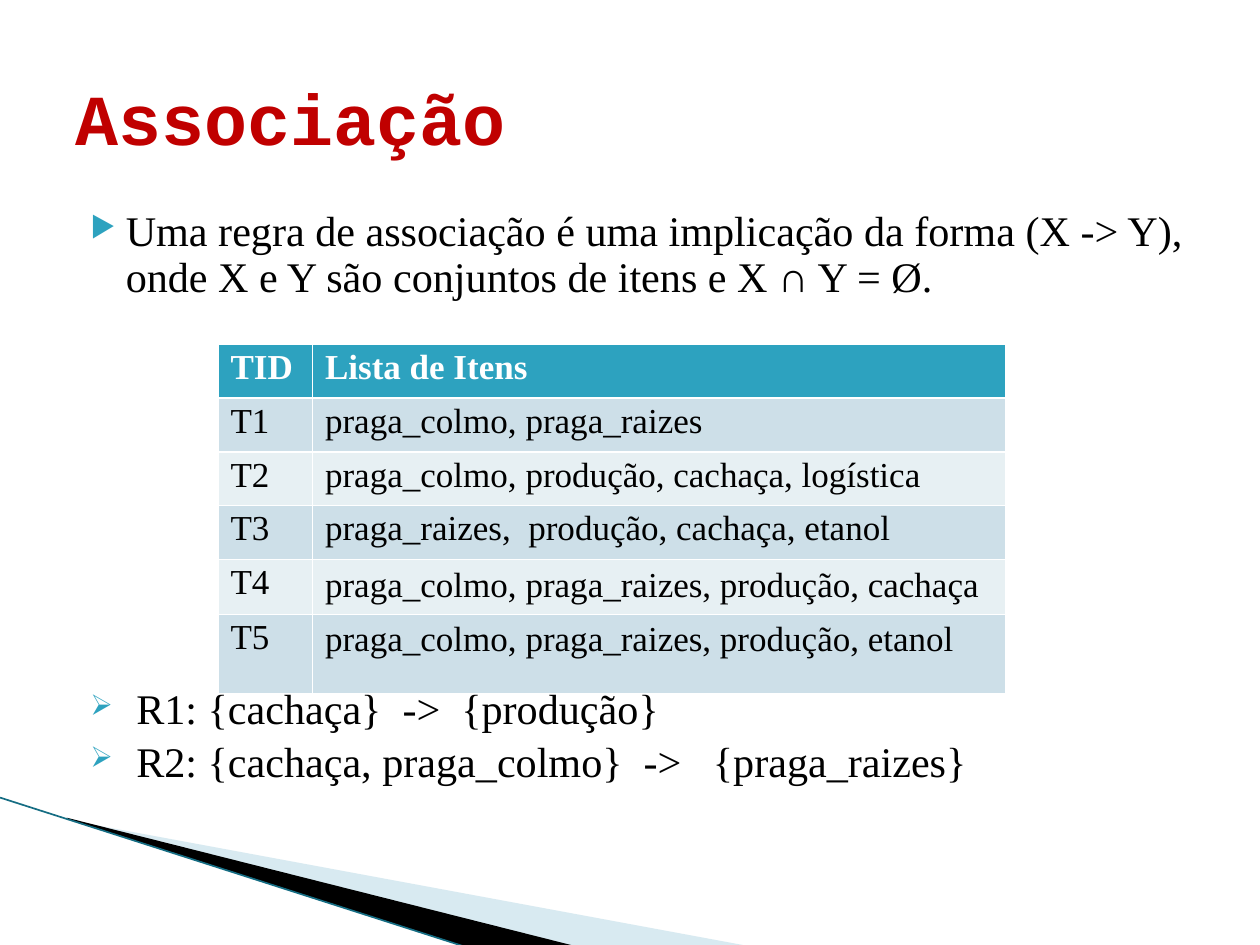
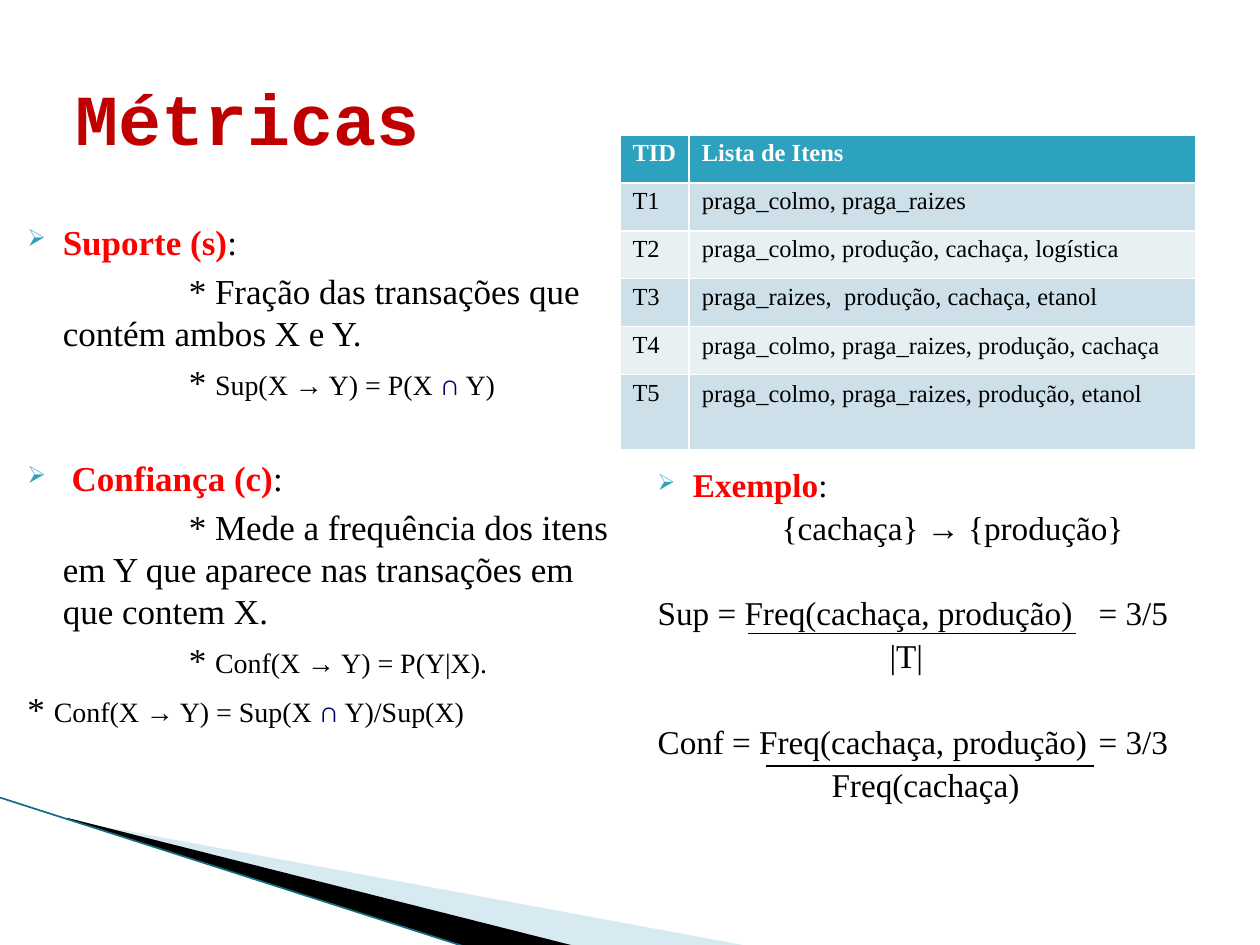
import dataclasses
import typing

import lxml.etree
import pptx
import pptx.dml.color
import pptx.enum.shapes
import pptx.enum.text
import pptx.oxml.ns
import pptx.util

RGBColor = pptx.dml.color.RGBColor
Align = pptx.enum.text.PP_ALIGN

# Shared colours and fonts
TEAL = RGBColor(0x2D, 0xA2, 0xBF)
DARK_TEAL = RGBColor(0x15, 0x6D, 0x83)
PALE_TEAL = RGBColor(0x9F, 0xCB, 0xDC)
BAND_DARK = RGBColor(0xCD, 0xDF, 0xE8)
BAND_LIGHT = RGBColor(0xE7, 0xF0, 0xF3)
TITLE_RED = RGBColor(0xC0, 0x00, 0x00)
TERM_RED = RGBColor(0xFF, 0x00, 0x00)
NAVY = RGBColor(0x00, 0x00, 0x66)
BLACK = RGBColor(0x00, 0x00, 0x00)
WHITE = RGBColor(0xFF, 0xFF, 0xFF)
BODY_FONT = "Times New Roman"
TITLE_FONT = "Courier New"
SYMBOL_FONT = "Calibri"

# The slide is a grid of 100 columns by 75 rows
SLIDE_WIDTH = pptx.util.Inches(10)
SLIDE_HEIGHT = pptx.util.Inches(7.5)
COLUMN = SLIDE_WIDTH / 100
ROW = SLIDE_HEIGHT / 75
HANG = 2.8
ARROW_BULLET = "➢"

TRANSACTIONS = [
    ("TID", "Lista de Itens"),
    ("T1", "praga_colmo, praga_raizes"),
    ("T2", "praga_colmo, produção, cachaça, logística"),
    ("T3", "praga_raizes,  produção, cachaça, etanol"),
    ("T4", "praga_colmo, praga_raizes, produção, cachaça"),
    ("T5", "praga_colmo, praga_raizes, produção, etanol"),
]


class Box(typing.NamedTuple):
    """Left, top, width and height in columns and rows."""
    left: float
    top: float
    width: float
    height: float

    def lengths(self) -> tuple[int, int, int, int]:
        return (across(self.left), down(self.top),
                across(self.width), down(self.height))


class Piece(typing.NamedTuple):
    text: str
    size: float
    color: RGBColor = BLACK
    bold: bool = False
    font: str = BODY_FONT


@dataclasses.dataclass
class Line:
    """One paragraph; margin, indent and tab are in columns."""
    pieces: list[Piece]
    bullet: str = ""
    margin: float = 0
    indent: float = 0
    before: float = 4
    spacing: float = 1.0
    align: typing.Optional[Align] = None
    tab: float = 0


def across(columns: float) -> int:
    return round(columns * COLUMN)


def down(rows: float) -> int:
    return round(rows * ROW)


def add_element(parent, tag: str, **attributes: str):
    element = lxml.etree.SubElement(parent, pptx.oxml.ns.qn(tag))
    for name, value in attributes.items():
        element.set(name, value)
    return element


# Text
def style_run(run, piece: Piece) -> None:
    run.font.name = piece.font
    run.font.size = pptx.util.Pt(piece.size)
    run.font.bold = piece.bold
    run.font.color.rgb = piece.color


def write_line(paragraph, line: Line) -> None:
    paragraph.space_before = pptx.util.Pt(line.before)
    paragraph.line_spacing = line.spacing
    paragraph.alignment = line.align
    properties = paragraph._p.get_or_add_pPr()
    properties.set("marL", str(across(line.margin)))
    properties.set("indent", str(across(line.indent)))
    if line.bullet:
        color = add_element(properties, "a:buClr")
        add_element(color, "a:srgbClr", val=str(TEAL))
        add_element(properties, "a:buSzPct", val="68000")
        add_element(properties, "a:buChar", char=line.bullet)
    if line.tab:
        tabs = add_element(properties, "a:tabLst")
        add_element(tabs, "a:tab", pos=str(across(line.tab)), algn="l")
    for piece in line.pieces:
        run = paragraph.add_run()
        run.text = piece.text
        style_run(run, piece)


def add_text(slide, box: Box, lines: list[Line], inset: float = 1):
    text_frame = slide.shapes.add_textbox(*box.lengths()).text_frame
    text_frame.word_wrap = True
    text_frame.margin_left = across(inset)
    for number, line in enumerate(lines):
        paragraph = text_frame.add_paragraph() if number else text_frame.paragraphs[0]
        write_line(paragraph, line)
    return text_frame


def add_title(slide, title: str) -> None:
    piece = Piece(title, 41, TITLE_RED, True, TITLE_FONT)
    text_frame = add_text(slide, Box(5, 3, 90, 12.5), [Line([piece], before=0)])
    text_frame.vertical_anchor = pptx.enum.text.MSO_ANCHOR.MIDDLE


# Lines and corner wedges
def add_line(slide, start: tuple[float, float], end: tuple[float, float],
             color: RGBColor, width: float) -> None:
    connector = slide.shapes.add_connector(
        pptx.enum.shapes.MSO_CONNECTOR.STRAIGHT,
        across(start[0]), down(start[1]), across(end[0]), down(end[1]))
    connector.line.color.rgb = color
    connector.line.width = pptx.util.Pt(width)
    add_element(connector._element.spPr, "a:effectLst")


def add_wedge(slide, corners: list[tuple[float, float]], color: RGBColor,
              opacity: int = 100) -> None:
    points = [(across(x), down(y)) for x, y in corners]
    builder = slide.shapes.build_freeform(*points[0])
    builder.add_line_segments(points[1:], close=True)
    wedge = builder.convert_to_shape()
    wedge.shadow.inherit = False
    wedge.line.fill.background()
    wedge.fill.solid()
    wedge.fill.fore_color.rgb = color
    if opacity < 100:
        tint = wedge._element.spPr.find(".//" + pptx.oxml.ns.qn("a:srgbClr"))
        add_element(tint, "a:alpha", val=str(opacity * 1000))


def start_slide(presentation, title: str):
    slide = presentation.slides.add_slide(presentation.slide_layouts[6])
    add_wedge(slide, [(5.5, 65.1), (59.5, 75.1), (45.6, 75.1), (5.5, 65)],
              PALE_TEAL, 40)
    add_wedge(slide, [(5.3, 64.9), (45.7, 75.1), (37.2, 75.2), (5.4, 65)], BLACK)
    add_line(slide, (0, 63.3), (37.1, 75.2), DARK_TEAL, 0.96)
    add_title(slide, title)
    return slide


# Transaction table, shown on both slides
def add_transactions(slide, box: Box, id_width: float, row_height: float,
                     size: float) -> None:
    last = len(TRANSACTIONS) - 1
    frame = slide.shapes.add_table(len(TRANSACTIONS), 2, *box.lengths())
    table = frame.table
    table.columns[0].width = across(id_width)
    table.columns[1].width = across(box.width - id_width)
    for row, texts in enumerate(TRANSACTIONS):
        height = row_height if row < last else box.height - last * row_height
        table.rows[row].height = down(height)
        header = row == 0
        band = TEAL if header else BAND_DARK if row % 2 else BAND_LIGHT
        for column, text in enumerate(texts):
            cell = table.cell(row, column)
            cell.fill.solid()
            cell.fill.fore_color.rgb = band
            paragraph = cell.text_frame.paragraphs[0]
            paragraph.text = text
            loose = column == 1 and row >= last - 1
            paragraph.line_spacing = 1.0 if loose else 0.93
            color = WHITE if header else BLACK
            style_run(paragraph.runs[0], Piece(text, size, color, header))


# Slide 1
def build_association(presentation) -> None:
    slide = start_slide(presentation, "Associação")

    def rule(text: str, bullet: str = ARROW_BULLET, before: float = 4) -> Line:
        return Line([Piece(text, 24.1)], bullet, 4, -HANG, before, 0.9)

    add_text(slide, Box(5, 16.2, 95, 49.5), [
        rule("Uma regra de associação é uma implicação da forma (X -> Y), "
             "onde X e Y são conjuntos de itens e X ∩ Y = Ø.", "▶"),
        rule(" R1: {cachaça}  ->  {produção}", before=221),
        rule(" R2: {cachaça, praga_colmo}  ->   {praga_raizes}"),
    ])
    add_transactions(slide, Box(17.3, 27.3, 62.5, 27.7), 7.5, 4.28, 20)


# Slide 2
def term(name: str, size: float) -> list[Piece]:
    return [Piece(name, size, TERM_RED, True), Piece(":", size)]


def formula(before: str, after: str = "") -> list[Piece]:
    pieces = [Piece("* ", 20), Piece(before, 16)]
    if after:
        pieces += [Piece("∩", 16, NAVY, font=SYMBOL_FONT), Piece(after, 16)]
    return pieces


def build_metrics(presentation) -> None:
    slide = start_slide(presentation, "Métricas")

    def heading(pieces: list[Piece], before: float = 4) -> Line:
        return Line(pieces, ARROW_BULLET, 4, -HANG, before)

    def note(pieces: list[Piece]) -> Line:
        return Line(pieces, margin=4, indent=10)

    add_text(slide, Box(0, 17, 50, 49.5), [
        heading(term("Suporte (s)", 20)),
        note([Piece("* Fração das transações que contém ambos X e Y.", 20)]),
        note(formula("Sup(X → Y) = P(X ", " Y)")),
        heading([Piece(" ", 20), *term("Confiança (c)", 20)], before=31),
        note([Piece("* Mede a frequência dos itens em Y que aparece nas "
                    "transações em que contem X.", 20)]),
        note(formula("Conf(X → Y) = P(Y|X).")),
        Line(formula("Conf(X → Y) = Sup(X ", " Y)/Sup(X)"),
             margin=4, indent=-HANG),
    ])

    # Worked example: numerators, results at a tab, denominators below
    def step(text: str, **options) -> Line:
        return Line([Piece(text, 19)], spacing=0.9, **options)

    add_text(slide, Box(50, 36.7, 50, 34.5), [
        Line(term("Exemplo", 19), ARROW_BULLET, HANG, -HANG, spacing=0.9),
        step("{cachaça} → {produção}", align=Align.CENTER),
        step("Sup = Freq(cachaça, produção)\t= 3/5", before=28.4, tab=35.5),
        step("|T|", margin=18.4),
        step("Conf = Freq(cachaça, produção)\t= 3/3", before=28.4, tab=35.5),
        step("Freq(cachaça)", margin=13.8),
    ], inset=2.2)
    for left, top in ((59.4, 50.3), (60.8, 60.8)):
        add_line(slide, (left, top), (left + 26, top), BLACK, 0.75)
    add_transactions(slide, Box(49.2, 10.7, 45.7, 25), 5.5, 3.81, 14)


def main() -> None:
    presentation = pptx.Presentation()
    presentation.slide_width = SLIDE_WIDTH
    presentation.slide_height = SLIDE_HEIGHT
    build_association(presentation)
    build_metrics(presentation)
    presentation.save("out.pptx")


if __name__ == "__main__":
    main()
